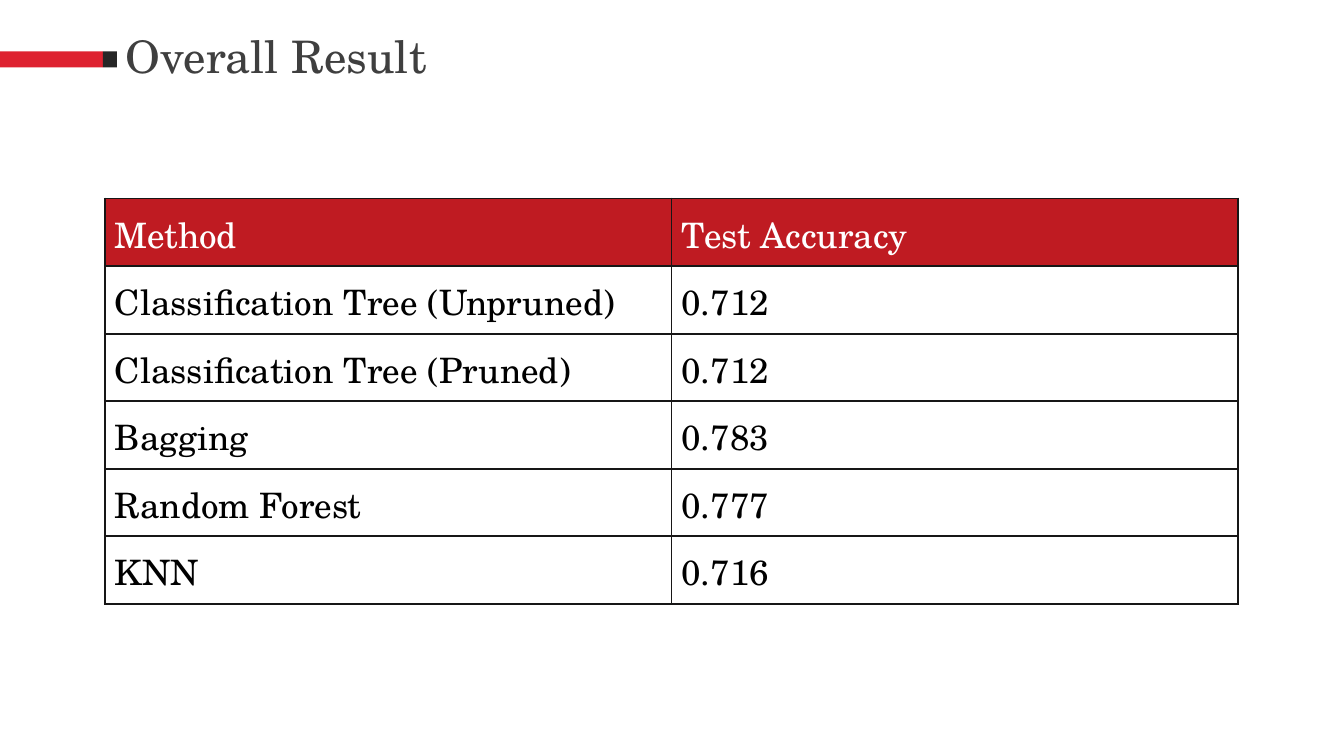
import pptx
import pptx.dml.color
import pptx.enum.shapes
import pptx.enum.text
import pptx.oxml
import pptx.oxml.ns
import pptx.util
from pptx.util import Inches

RESULTS = [
    ("Method", "Test Accuracy"),
    ("Classification Tree (Unpruned)", "0.712"),
    ("Classification Tree (Pruned)", "0.712"),
    ("Bagging", "0.783"),
    ("Random Forest", "0.777"),
    ("KNN", "0.716"),
]


def color(hex_string):
    return pptx.dml.color.RGBColor.from_string(hex_string)


class SlideBuilder:
    font = "TeX Gyre Schola"
    border = "171616"
    header_fill = "BF1B22"

    def __init__(self, slide):
        self.slide = slide

    def bar(self, left, top, width, height, fill):
        bar = self.slide.shapes.add_shape(
            pptx.enum.shapes.MSO_SHAPE.RECTANGLE,
            Inches(left), Inches(top), Inches(width), Inches(height))
        bar.shadow.inherit = False
        bar.fill.solid()
        bar.fill.fore_color.rgb = color(fill)
        bar.line.fill.background()

    def add_text(self, paragraph, text, size, ink):
        run = paragraph.add_run()
        run.text = text
        run.font.name = self.font
        run.font.size = pptx.util.Pt(size)
        run.font.color.rgb = color(ink)

    def title(self, left, top, width, height, text):
        box = self.slide.shapes.add_textbox(
            Inches(left), Inches(top), Inches(width), Inches(height))
        frame = box.text_frame
        frame.word_wrap = True
        frame.vertical_anchor = pptx.enum.text.MSO_ANCHOR.MIDDLE
        frame.paragraphs[0].line_spacing = 0.9
        self.add_text(frame.paragraphs[0], text, 32, "3F3F3F")

    def outline(self, cell):
        properties = cell._tc.get_or_add_tcPr()
        namespace = pptx.oxml.ns.nsdecls("a")
        # Borders come before the fill in the cell properties
        for position, side in enumerate(("lnL", "lnR", "lnT", "lnB")):
            properties.insert(position, pptx.oxml.parse_xml(
                f'<a:{side} {namespace} w="{pptx.util.Pt(1.5)}"><a:solidFill>'
                f'<a:srgbClr val="{self.border}"/></a:solidFill></a:{side}>'))

    def table(self, left, top, column_width, row_height, rows):
        columns = len(rows[0])
        table = self.slide.shapes.add_table(
            len(rows), columns, Inches(left), Inches(top),
            Inches(column_width * columns),
            Inches(row_height * len(rows))).table
        table.horz_banding = False
        for column in table.columns:
            column.width = Inches(column_width)
        for r, values in enumerate(rows):
            table.rows[r].height = Inches(row_height)
            for c, value in enumerate(values):
                self.cell(table.cell(r, c), value, header=r == 0)

    def cell(self, cell, text, header):
        cell.margin_left = cell.margin_right = Inches(0.1)
        cell.margin_top = cell.margin_bottom = Inches(0.1)
        if header:
            cell.fill.solid()
            cell.fill.fore_color.rgb = color(self.header_fill)
        else:
            cell.fill.background()
        self.outline(cell)
        self.add_text(cell.text_frame.paragraphs[0], text, 25,
                      "FFFFFF" if header else "000000")


def main():
    presentation = pptx.Presentation()
    presentation.slide_width = Inches(13.33)
    presentation.slide_height = Inches(7.5)
    builder = SlideBuilder(
        presentation.slides.add_slide(presentation.slide_layouts[6]))

    # Title with its accent bar
    builder.bar(0, 0.51, 1.02, 0.16, "DE2230")
    builder.bar(1.02, 0.51, 0.14, 0.16, "262626")
    builder.title(1.15, 0.36, 6.84, 0.46, "Overall Result")

    # Accuracy of each method
    builder.table(1.04, 1.97, 5.62, 0.67, RESULTS)

    presentation.save("out.pptx")


if __name__ == "__main__":
    main()
